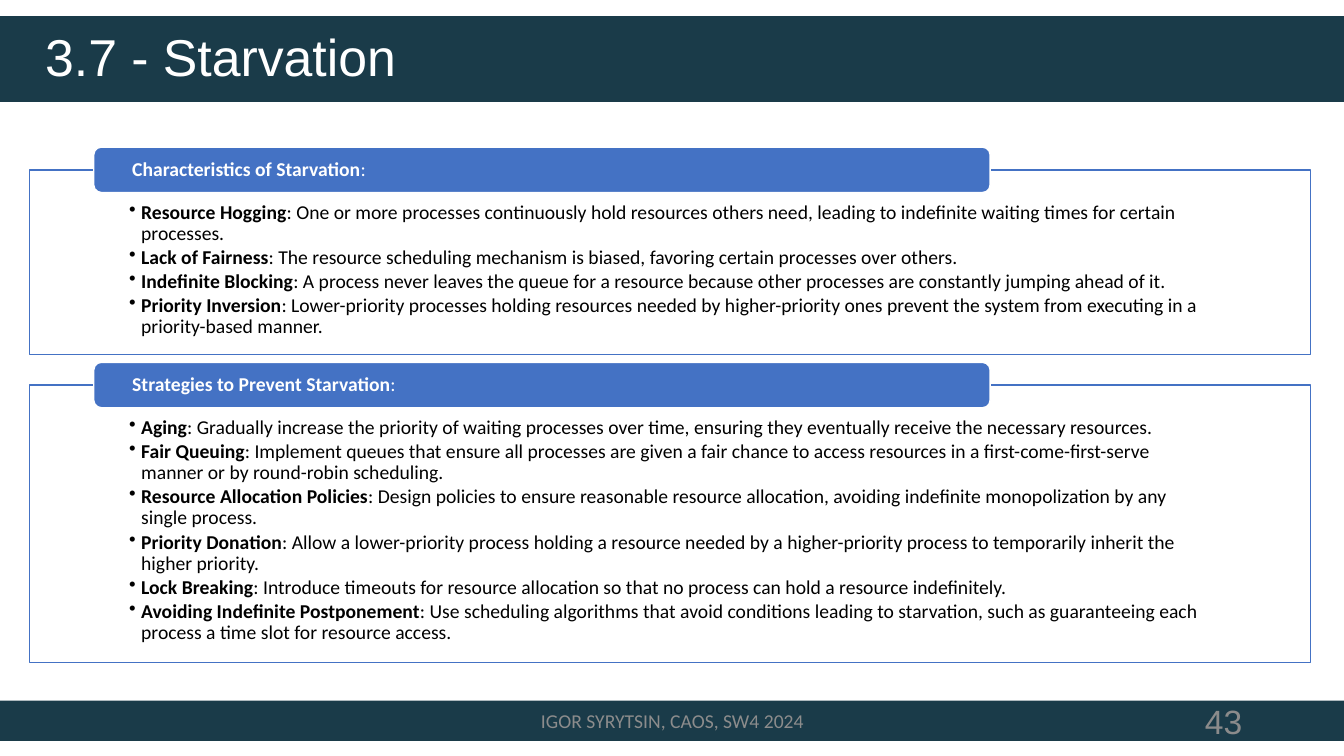
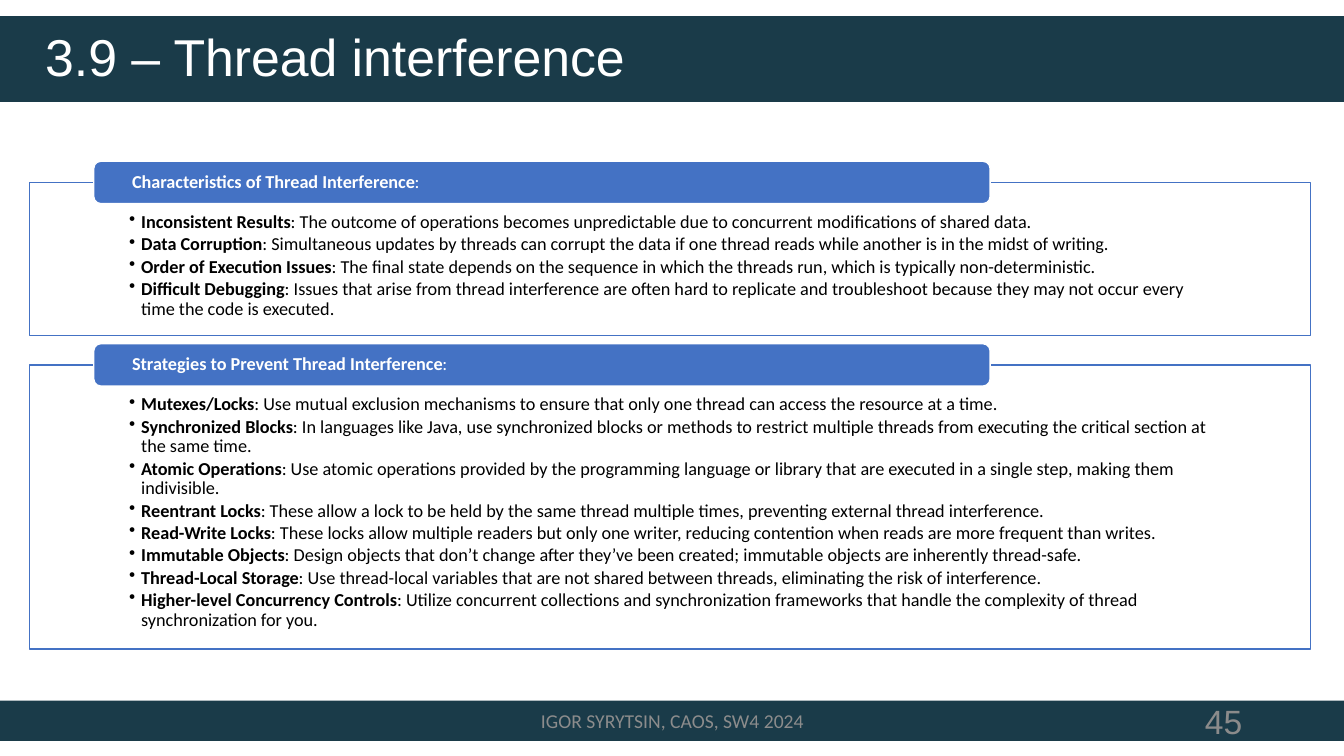
from lxml import etree
from pptx import Presentation
from pptx.dml.color import RGBColor
from pptx.enum import shapes, text
from pptx.oxml.ns import qn
from pptx.util import Inches, Pt


class Theme:
    band, blue, white, black = "1A3B49", "4472C4", "FFFFFF", "000000"
    foot, page = "8C8C8C", "8B8B8B"
    head, body = "Arial", "Calibri"
    title_pt, page_pt, foot_pt = 37, 24, 14


# Content
FOOTER = "IGOR SYRYTSIN, CAOS, SW4 2024"
SLIDES = [
    dict(
        title="3.7 - Starvation", page="43", size=14, top=1.46, tab=0.45, pad=(0.32, 0.11),
        panels=[
            ("Characteristics of Starvation", 1.83, [
                ("Resource Hogging", "One or more processes continuously hold resources others need, "
                 "leading to indefinite waiting times for certain processes."),
                ("Lack of Fairness", "The resource scheduling mechanism is biased, favoring certain "
                 "processes over others."),
                ("Indefinite Blocking", "A process never leaves the queue for a resource because other "
                 "processes are constantly jumping ahead of it."),
                ("Priority Inversion", "Lower-priority processes holding resources needed by "
                 "higher-priority ones prevent the system from executing in a priority-based manner."),
            ]),
            ("Strategies to Prevent Starvation", 2.75, [
                ("Aging", "Gradually increase the priority of waiting processes over time, ensuring "
                 "they eventually receive the necessary resources."),
                ("Fair Queuing", "Implement queues that ensure all processes are given a fair chance "
                 "to access resources in a first-come-first-serve manner or by round-robin scheduling."),
                ("Resource Allocation Policies", "Design policies to ensure reasonable resource "
                 "allocation, avoiding indefinite monopolization by any single process."),
                ("Priority Donation", "Allow a lower-priority process holding a resource needed by a "
                 "higher-priority process to temporarily inherit the higher priority."),
                ("Lock Breaking", "Introduce timeouts for resource allocation so that no process can "
                 "hold a resource indefinitely."),
                ("Avoiding Indefinite Postponement", "Use scheduling algorithms that avoid conditions "
                 "leading to starvation, such as guaranteeing each process a time slot for resource "
                 "access."),
            ]),
        ],
    ),
    dict(
        title="3.9 – Thread interference", page="45", size=13, top=1.6, tab=0.42, pad=(0.3, 0.1),
        panels=[
            ("Characteristics of Thread Interference", 1.52, [
                ("Inconsistent Results", "The outcome of operations becomes unpredictable due to "
                 "concurrent modifications of shared data."),
                ("Data Corruption", "Simultaneous updates by threads can corrupt the data if one "
                 "thread reads while another is in the midst of writing."),
                ("Order of Execution Issues", "The final state depends on the sequence in which the "
                 "threads run, which is typically non-deterministic."),
                ("Difficult Debugging", "Issues that arise from thread interference are often hard to "
                 "replicate and troubleshoot because they may not occur every time the code is "
                 "executed."),
            ]),
            ("Strategies to Prevent Thread Interference", 2.82, [
                ("Mutexes/Locks", "Use mutual exclusion mechanisms to ensure that only one thread can "
                 "access the resource at a time."),
                ("Synchronized Blocks", "In languages like Java, use synchronized blocks or methods to "
                 "restrict multiple threads from executing the critical section at the same time."),
                ("Atomic Operations", "Use atomic operations provided by the programming language or "
                 "library that are executed in a single step, making them indivisible."),
                ("Reentrant Locks", "These allow a lock to be held by the same thread multiple times, "
                 "preventing external thread interference."),
                ("Read-Write Locks", "These locks allow multiple readers but only one writer, reducing "
                 "contention when reads are more frequent than writes."),
                ("Immutable Objects", "Design objects that don’t change after they’ve been created; "
                 "immutable objects are inherently thread-safe."),
                ("Thread-Local Storage", "Use thread-local variables that are not shared between "
                 "threads, eliminating the risk of interference."),
                ("Higher-level Concurrency Controls", "Utilize concurrent collections and "
                 "synchronization frameworks that handle the complexity of thread synchronization "
                 "for you."),
            ]),
        ],
    ),
]

# Layout, in inches
WIDTH, HEIGHT = 13.33, 7.5
FRAME_X, FRAME_W, FRAME_PAD = 0.29, 12.71, 0.99
TAB_X, TAB_W, TAB_PAD = 0.93, 8.89, 0.36
GAP, INDENT = 0.08, 0.12
FOOT_Y, FOOT_H = 6.95, 0.4

KIND = shapes.MSO_SHAPE
ALIGN = text.PP_ALIGN
MIDDLE, TOP = text.MSO_ANCHOR.MIDDLE, text.MSO_ANCHOR.TOP


# Helpers
def add_box(slide, kind, place, fill, line=None):
    box = slide.shapes.add_shape(kind, *map(Inches, place))
    box.shadow.inherit = False
    box.fill.solid()
    box.fill.fore_color.rgb = RGBColor.from_string(fill)
    if line:
        box.line.color.rgb = RGBColor.from_string(line)
        box.line.width = Pt(1)
    else:
        box.line.fill.background()
    return box


def set_frame(box, anchor, pad):
    frame = box.text_frame
    frame.word_wrap = True
    frame.vertical_anchor = anchor
    (frame.margin_left, frame.margin_top,
     frame.margin_right, frame.margin_bottom) = map(Inches, pad)
    return frame


def style(par, face, size, color, align=ALIGN.LEFT):
    par.alignment = align
    par.font.name = face
    par.font.size = Pt(size)
    par.font.color.rgb = RGBColor.from_string(color)


def add_label(slide, place, words, *look):
    box = slide.shapes.add_textbox(*map(Inches, place))
    par = set_frame(box, MIDDLE, (0.1, 0.05, 0.1, 0.05)).paragraphs[0]
    par.text = words
    style(par, *look)
    return par


def add_term(par, term, rest, size, color):
    par.line_spacing = 0.9
    style(par, Theme.body, size, color)
    for words, bold in ((term, True), (":" + rest, False)):
        run = par.add_run()
        run.text = words
        run.font.bold = bold


def add_bullet(par):
    props = par._p.get_or_add_pPr()
    props.set("marL", str(Inches(INDENT)))
    props.set("indent", str(-Inches(INDENT)))
    etree.SubElement(props, qn("a:buChar")).set("char", "•")


# Slide parts
def add_base(slide, data):
    add_box(slide, KIND.RECTANGLE, (0, 0.16, WIDTH, 0.85), Theme.band)
    add_box(slide, KIND.RECTANGLE, (0, FOOT_Y, WIDTH, FOOT_H), Theme.band)
    title = add_label(slide, (0.35, 0.25, 11.5, 0.68), data["title"],
                      Theme.head, Theme.title_pt, Theme.white)
    title.line_spacing = 0.9
    add_label(slide, (4.42, FOOT_Y, 4.5, FOOT_H), FOOTER,
              Theme.body, Theme.foot_pt, Theme.foot, ALIGN.CENTER)
    add_label(slide, (9.42, FOOT_Y, 3, FOOT_H), data["page"],
              Theme.head, Theme.page_pt, Theme.page, ALIGN.RIGHT)


def add_panel(slide, data, top, high, head, items):
    size, (above, below) = data["size"], data["pad"]
    box = add_box(slide, KIND.RECTANGLE, (FRAME_X, top + data["tab"] / 2, FRAME_W, high),
                  Theme.white, Theme.blue)
    frame = set_frame(box, TOP, (FRAME_PAD, above, FRAME_PAD, below))
    for i, (term, rest) in enumerate(items):
        par = frame.add_paragraph() if i else frame.paragraphs[0]
        add_bullet(par)
        par.space_after = Pt(round(0.15 * size, 1))
        add_term(par, term, " " + rest, size, Theme.black)

    tab = add_box(slide, KIND.ROUNDED_RECTANGLE, (TAB_X, top, TAB_W, data["tab"]),
                  Theme.blue, Theme.white)
    par = set_frame(tab, MIDDLE, (TAB_PAD, 0, TAB_PAD, 0)).paragraphs[0]
    add_term(par, head, "", size, Theme.white)


def main():
    deck = Presentation()
    deck.slide_width, deck.slide_height = Inches(WIDTH), Inches(HEIGHT)
    for data in SLIDES:
        slide = deck.slides.add_slide(deck.slide_layouts[6])
        add_base(slide, data)
        top = data["top"]
        for head, high, items in data["panels"]:
            add_panel(slide, data, top, high, head, items)
            top += data["tab"] / 2 + high + GAP
    deck.save("out.pptx")


if __name__ == "__main__":
    main()
